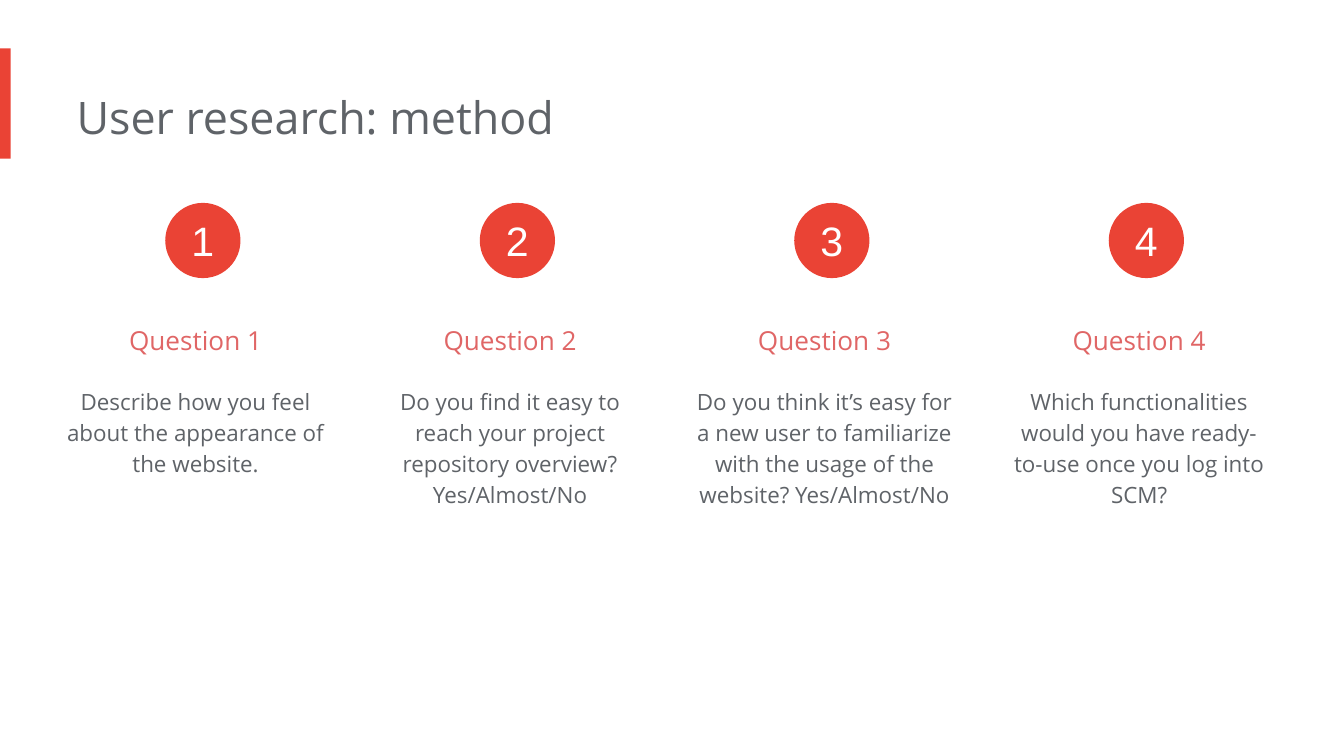
from dataclasses import dataclass

from pptx import Presentation
from pptx.dml.color import RGBColor
from pptx.enum.shapes import MSO_SHAPE as Shape
from pptx.enum.text import MSO_ANCHOR as Anchor
from pptx.enum.text import MSO_AUTO_SIZE as AutoSize
from pptx.enum.text import PP_ALIGN as Align
from pptx.shapes.autoshape import Shape as AutoShape
from pptx.slide import Slide
from pptx.util import Inches, Pt

RED = "EA4335"
ROSE = "E06666"
GRAY = "5F6368"
WHITE = "FFFFFF"
SLIDE_WIDTH = 10
SLIDE_HEIGHT = SLIDE_WIDTH * 9 / 16
FIRST_COLUMN = 0.48
FIRST_CIRCLE = 1.23
COLUMN_STEP = 2.34
COLUMN_WIDTH = 2.05
CIRCLE_SIZE = 0.56


@dataclass(frozen=True)
class Box:
    left: float
    top: float
    width: float
    height: float


@dataclass(frozen=True)
class TextStyle:
    size: float
    color: str
    font: str = "Open Sans"
    align: Align = Align.CENTER
    line_spacing: float = 1.0


@dataclass(frozen=True)
class Question:
    text: str
    height: float = 1.13


TITLE = TextStyle(24, GRAY, align=Align.LEFT)
NUMBER = TextStyle(22, WHITE, font="Arial")
HEADING = TextStyle(14, ROSE, line_spacing=1.5)
BODY = TextStyle(12, GRAY, line_spacing=1.15)

QUESTIONS = [
    Question("Describe how you feel about the appearance of the website.", 0.9),
    Question("Do you find it easy to reach your project repository overview? Yes/Almost/No"),
    Question(
        "Do you think it’s easy for a new user to familiarize with the usage of the website? "
        "Yes/Almost/No"
    ),
    Question("Which functionalities would you have ready-to-use once you log into SCM?"),
]


def rgb(value: str) -> RGBColor:
    return RGBColor.from_string(value)


def lengths(box: Box) -> list[Inches]:
    return [Inches(value) for value in (box.left, box.top, box.width, box.height)]


def write_text(shape: AutoShape, text: str, style: TextStyle, inset: float) -> None:
    frame = shape.text_frame
    frame.word_wrap = True
    frame.margin_left = 0
    frame.margin_top = frame.margin_right = frame.margin_bottom = Inches(inset)
    paragraph = frame.paragraphs[0]
    paragraph.alignment = style.align
    paragraph.line_spacing = style.line_spacing
    run = paragraph.add_run()
    run.text = text
    run.font.name = style.font
    run.font.size = Pt(style.size)
    run.font.color.rgb = rgb(style.color)


def add_text(slide: Slide, box: Box, text: str, style: TextStyle) -> None:
    shape = slide.shapes.add_textbox(*lengths(box))
    write_text(shape, text, style, inset=0.1)
    shape.text_frame.auto_size = AutoSize.SHAPE_TO_FIT_TEXT


def add_solid(slide: Slide, kind: Shape, box: Box, color: str) -> AutoShape:
    shape = slide.shapes.add_shape(kind, *lengths(box))
    shape.shadow.inherit = False
    shape.fill.solid()
    shape.fill.fore_color.rgb = rgb(color)
    shape.line.fill.background()
    return shape


def add_question(slide: Slide, index: int, question: Question) -> None:
    shift = index * COLUMN_STEP
    left = FIRST_COLUMN + shift
    number = str(index + 1)
    add_text(slide, Box(left, 2.2, COLUMN_WIDTH, 0.44), f"Question {number}", HEADING)
    add_text(slide, Box(left, 2.76, COLUMN_WIDTH, question.height), question.text, BODY)
    circle_box = Box(FIRST_CIRCLE + shift, 1.51, CIRCLE_SIZE, CIRCLE_SIZE)
    circle = add_solid(slide, Shape.OVAL, circle_box, RED)
    write_text(circle, number, NUMBER, inset=0)
    circle.text_frame.vertical_anchor = Anchor.MIDDLE


def main() -> None:
    presentation = Presentation()
    presentation.slide_width = Inches(SLIDE_WIDTH)
    presentation.slide_height = Inches(SLIDE_HEIGHT)
    slide = presentation.slides.add_slide(presentation.slide_layouts[6])
    slide.background.fill.solid()
    slide.background.fill.fore_color.rgb = rgb(WHITE)
    add_solid(slide, Shape.RECTANGLE, Box(0, 0.36, 0.08, 0.82), RED)
    add_text(slide, Box(0.57, 0.57, 6.73, 0.61), "User research: method", TITLE)
    for index, question in enumerate(QUESTIONS):
        add_question(slide, index, question)
    presentation.save("out.pptx")


if __name__ == "__main__":
    main()
